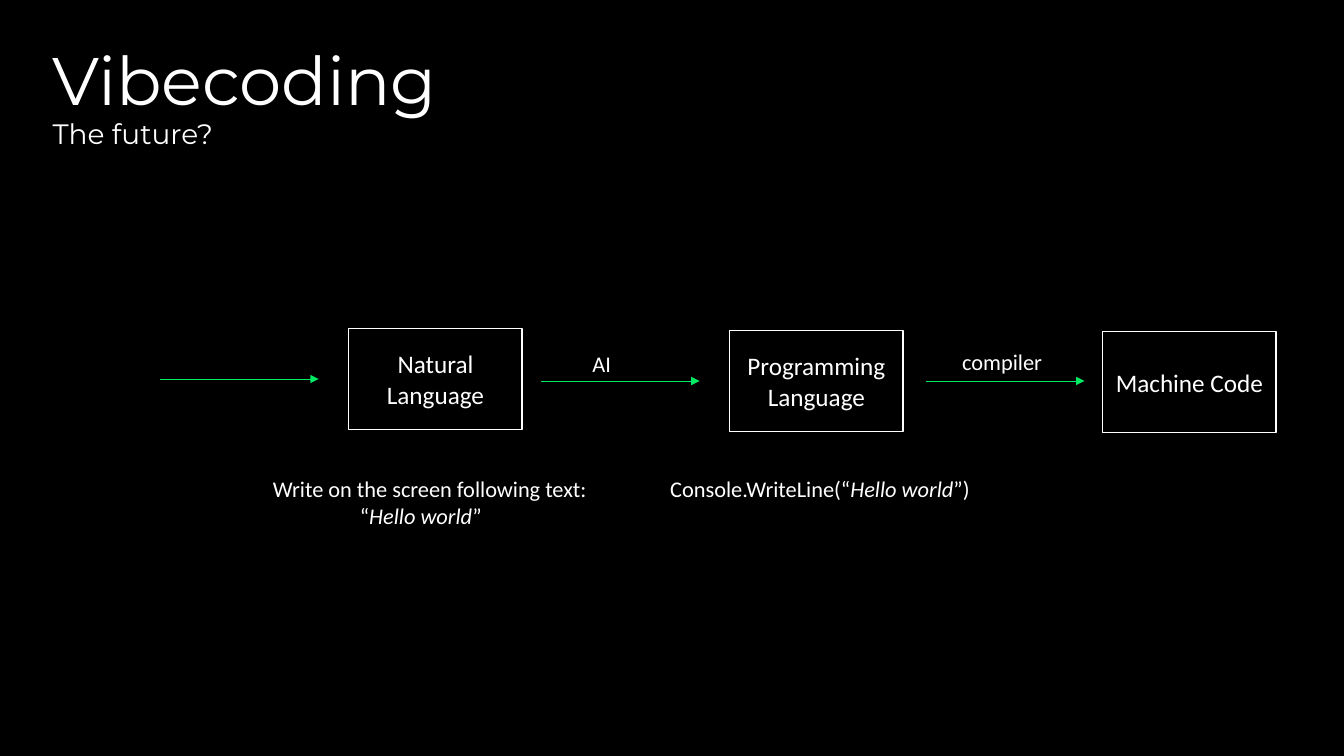
from dataclasses import dataclass

from lxml import etree
from pptx import Presentation
from pptx import util as u
from pptx.dml.color import RGBColor
from pptx.enum import shapes, text
from pptx.oxml.ns import qn


@dataclass(frozen=True)
class Theme:
    black: RGBColor = RGBColor(0, 0, 0)
    white: RGBColor = RGBColor(255, 255, 255)
    green: RGBColor = RGBColor(0, 0xEA, 0x63)
    heading_font: str = "Montserrat"
    body_font: str = "Calibri"
    title: int = 48
    subtitle: int = 20
    stage: int = 18
    caption: int = 16


class Pipeline:
    STAGE_WIDTH, STAGE_HEIGHT = 4.37, 2.54
    ARROW_LENGTH = 3.99

    def __init__(self, slide, theme):
        self.slide = slide
        self.theme = theme
        slide.background.fill.solid()
        slide.background.fill.fore_color.rgb = theme.black

    def style(self, font, size, family):
        font.size = u.Pt(size)
        font.name = family
        font.color.rgb = self.theme.white

    def heading(self, title, subtitle):
        holder = self.slide.shapes.title
        holder.left, holder.top = u.Cm(1.07), u.Cm(0.66)
        holder.width, holder.height = u.Cm(29.21), u.Cm(3.68)
        frame = holder.text_frame
        frame.auto_size = text.MSO_AUTO_SIZE.NONE
        frame.vertical_anchor = text.MSO_ANCHOR.MIDDLE
        line = frame.paragraphs[0]
        line.alignment = text.PP_ALIGN.LEFT
        line.line_spacing = 0.9
        for words, size in ((title, self.theme.title), (subtitle, self.theme.subtitle)):
            if line.runs:
                line.add_line_break()
            run = line.add_run()
            run.text = words
            self.style(run.font, size, self.theme.heading_font)

    def stage(self, left, top, lines):
        box = self.slide.shapes.add_shape(
            shapes.MSO_SHAPE.RECTANGLE, u.Cm(left), u.Cm(top),
            u.Cm(self.STAGE_WIDTH), u.Cm(self.STAGE_HEIGHT))
        box.shadow.inherit = False
        box.fill.solid()
        box.fill.fore_color.rgb = self.theme.black
        box.line.color.rgb = self.theme.white
        box.line.width = u.Pt(1)
        frame = box.text_frame
        frame.text = lines
        frame.word_wrap = True
        frame.vertical_anchor = text.MSO_ANCHOR.MIDDLE
        for line in frame.paragraphs:
            line.alignment = text.PP_ALIGN.CENTER
            self.style(line.font, self.theme.stage, self.theme.body_font)

    def arrow(self, left, y):
        step = self.slide.shapes.add_connector(
            shapes.MSO_CONNECTOR.STRAIGHT, u.Cm(left), u.Cm(y),
            u.Cm(left + self.ARROW_LENGTH), u.Cm(y))
        step.line.color.rgb = self.theme.green
        step.line.width = u.Pt(0.5)
        etree.SubElement(step.line._get_or_add_ln(), qn("a:tailEnd"), type="triangle")
        etree.SubElement(step._element.spPr, qn("a:effectLst"))

    def caption(self, left, top, width, height, lines, wrap=False):
        box = self.slide.shapes.add_textbox(u.Cm(left), u.Cm(top), u.Cm(width), u.Cm(height))
        frame = box.text_frame
        frame.word_wrap = wrap
        frame.auto_size = text.MSO_AUTO_SIZE.SHAPE_TO_FIT_TEXT
        for number, (indent, pieces) in enumerate(lines):
            line = frame.add_paragraph() if number else frame.paragraphs[0]
            if indent:
                line._p.get_or_add_pPr().set("marL", str(u.Cm(indent)))
            self.style(line.font, self.theme.caption, self.theme.body_font)
            for words, italic in pieces:
                run = line.add_run()
                run.text = words
                if italic:
                    run.font.italic = True


def main():
    deck = Presentation()
    deck.slide_width, deck.slide_height = u.Cm(33.87), u.Cm(19.05)
    pipeline = Pipeline(deck.slides.add_slide(deck.slide_layouts[5]), Theme())

    pipeline.heading("Vibecoding", "The future?")
    for left, top, lines in (
        (8.79, 8.28, "Natural\nLanguage"),
        (18.39, 8.33, "Programming Language"),
        (27.79, 8.36, "Machine Code"),
    ):
        pipeline.stage(left, top, lines)
    for left, y in ((4.04, 9.55), (13.64, 9.6), (23.34, 9.6)):
        pipeline.arrow(left, y)

    greeting = ("Hello world", True)
    pipeline.caption(14.68, 8.71, 0.99, 0.94, [(0, [("AI", False)])])
    pipeline.caption(24, 8.64, 2.54, 0.94, [(0, [("compiler", False)])])
    pipeline.caption(6.63, 11.86, 8.66, 1.63, [
        (0, [("Write on the screen following text:", False)]),
        (2.19, [("“", False), greeting, ("”", False)]),
    ])
    pipeline.caption(16.64, 11.86, 8.41, 0.94, [
        (0, [("Console.WriteLine(“", False), greeting, ("”)", False)]),
    ], wrap=True)

    deck.save("out.pptx")


if __name__ == "__main__":
    main()
